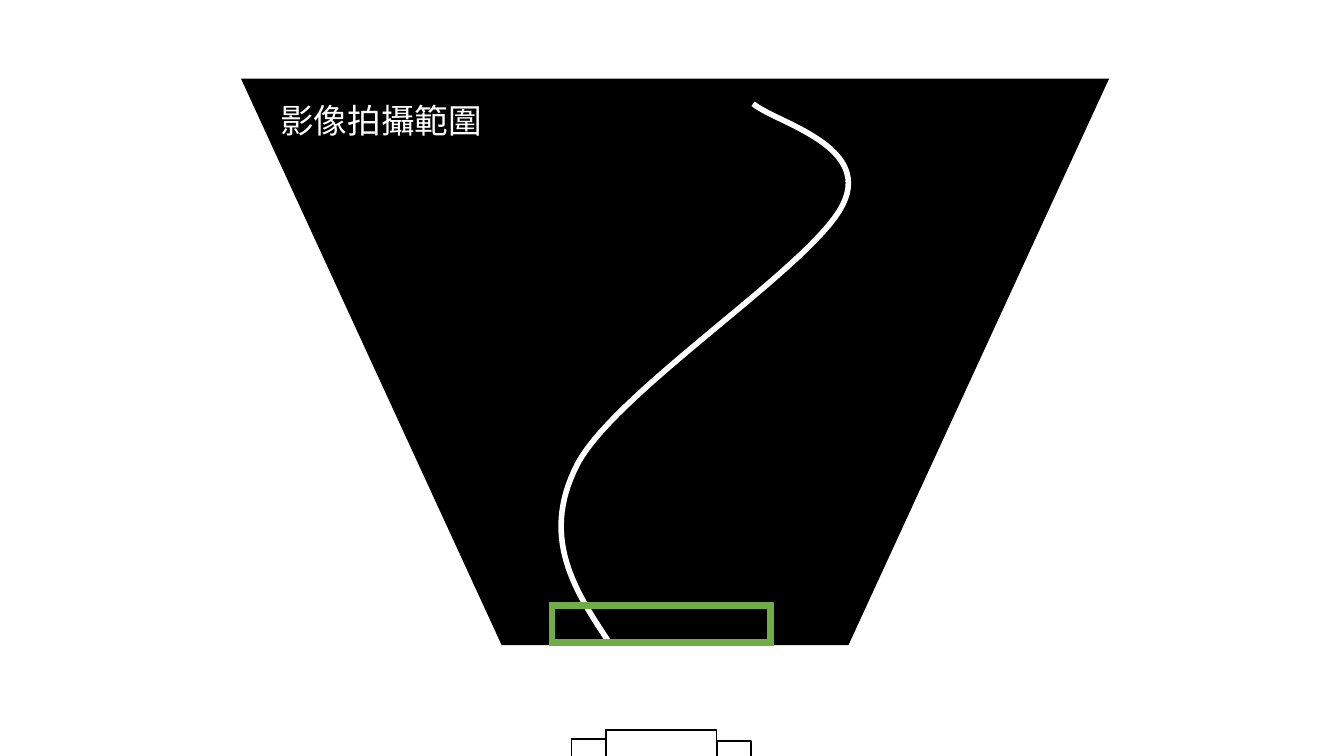
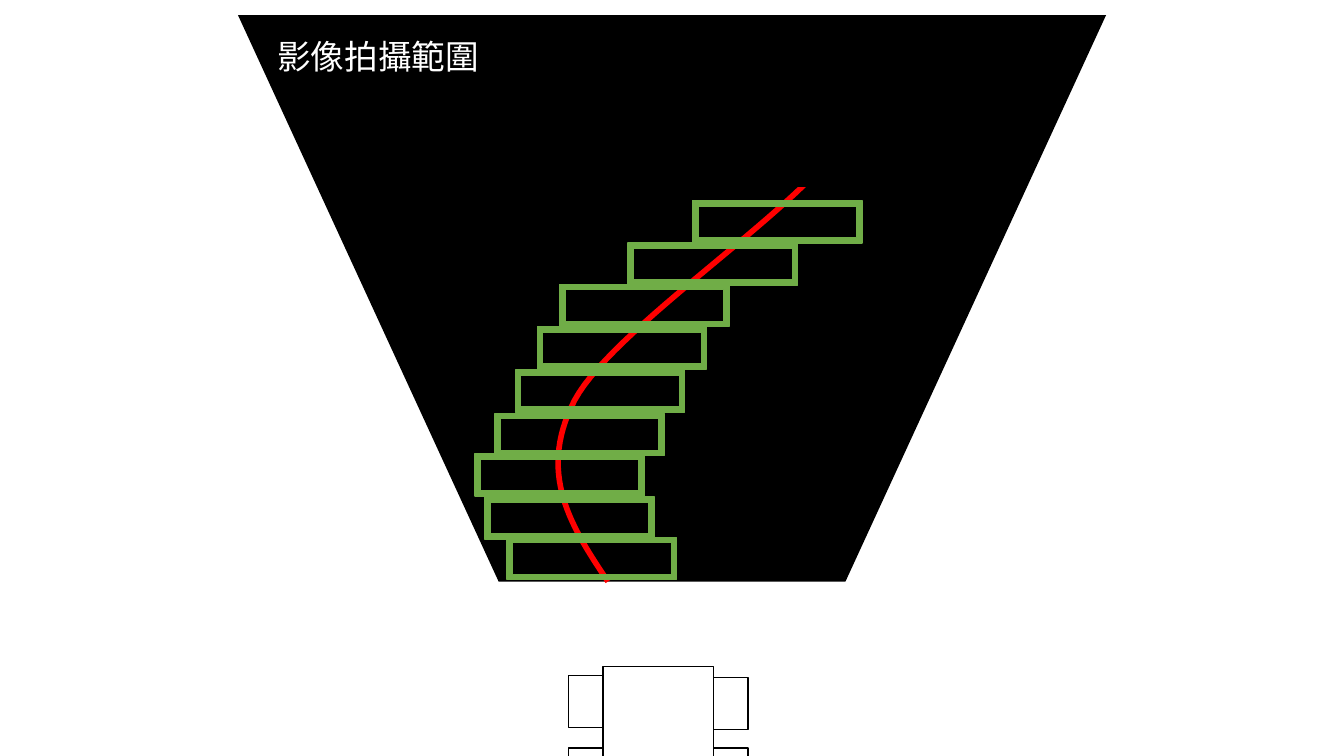
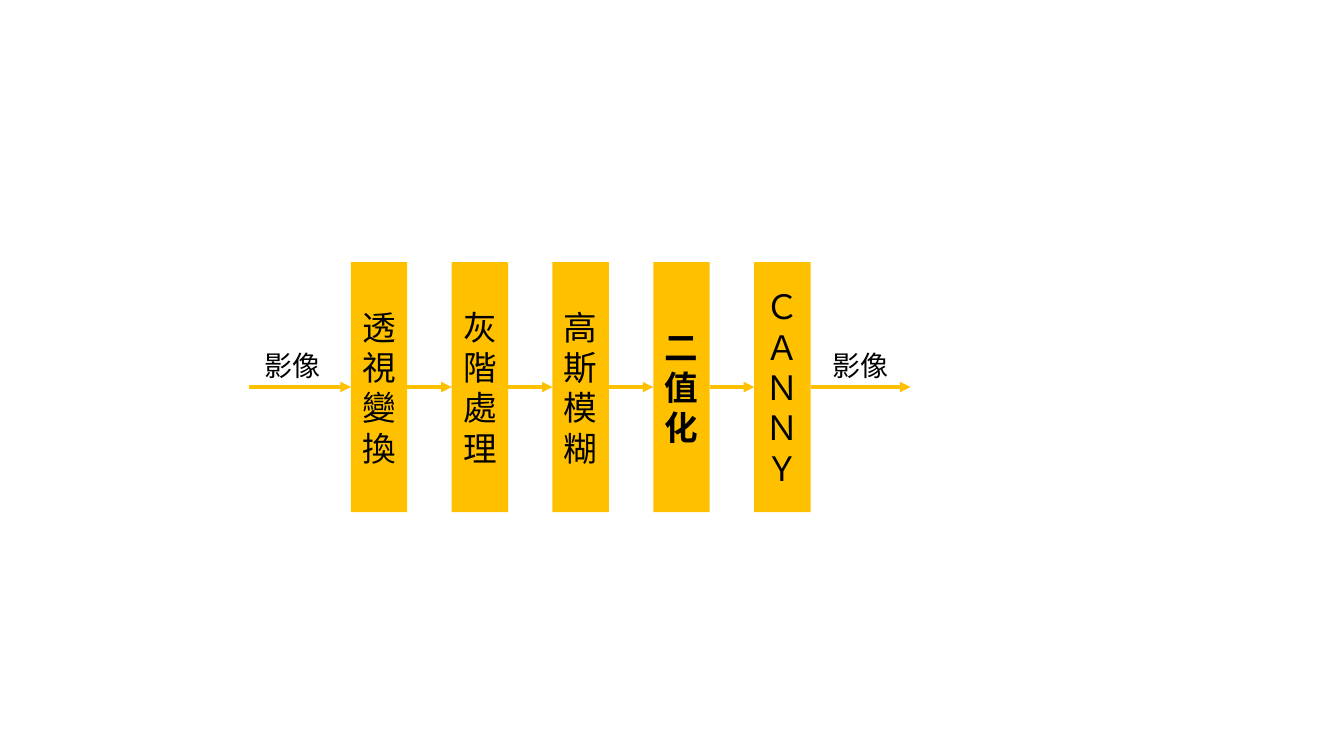
from typing import NamedTuple

from lxml.etree import SubElement
from pptx import Presentation
from pptx.dml.color import RGBColor
from pptx.enum.shapes import MSO_CONNECTOR, MSO_SHAPE
from pptx.enum.text import MSO_ANCHOR, PP_ALIGN
from pptx.oxml.ns import qn
from pptx.util import Pt

PX = 9144  # EMU in one px; 100 px to the inch
WIDE, HIGH = 1333, 750
BLACK, WHITE, RED = "000000", "FFFFFF", "FF0000"
GREEN, GOLD = "70AD47", "FFC000"
FONT, BOLD = "Noto Sans CJK JP", "Noto Sans CJK TC"


class Box(NamedTuple):
    left: int
    top: int
    width: int
    height: int

    def move(self, x: int, y: int) -> "Box":
        return Box(self.left + x, self.top + y, self.width, self.height)

    def emu(self) -> list[int]:
        return [n * PX for n in self]


class Step(NamedTuple):
    text: str
    font: str = FONT
    bold: bool = False


class View(NamedTuple):
    """A camera view: its top left corner, track colour, wheels and frames."""
    x: int
    y: int
    track: str
    wheels: list[Box]
    frames: list[Box]


# Places inside a view, from its top left corner
FIELD = Box(0, 0, 861, 562)
NAME = Box(39, 21, 202, 40)
BODY = Box(362, 646, 110, 145)
FRONT = [Box(472, 657, 34, 52), Box(328, 655, 34, 52)]
REAR = [Box(x, 727, 34, 52) for x in (472, 328)]
START = (367, 562)
CURVES = [
    ((331, 508), (296, 455), (334, 382)),
    ((373, 309), (568, 185), (597, 125)),
    ((626, 66), (531, 44), (508, 25)),
]

SPOTS = [(503, 533), (481, 493), (471, 450), (491, 410), (511, 367),
         (533, 324), (555, 282), (623, 241), (687, 199)]
VIEWS = [
    View(239, 78, WHITE, FRONT, [Box(545, 598, 222, 42)]),
    View(236, 15, RED, FRONT + REAR, [Box(x, y, 168, 42) for x, y in SPOTS]),
]
COVER = Box(743, 32, 270, 153)

STEPS = [Step("透視變換"), Step("灰階處理"), Step("高斯模糊"),
         Step("二值化", BOLD, True), Step("ＣＡＮＮＹ")]
FIRST = Box(348, 260, 56, 248)
PITCH = 100


def color(code: str) -> RGBColor:
    return RGBColor.from_string(code)


def shape(slide, kind, box: Box, fill: str, line: str | None = None):
    item = slide.shapes.add_shape(kind, *box.emu())
    item.shadow.inherit = False
    item.fill.solid()
    item.fill.fore_color.rgb = color(fill)
    if line:
        item.line.color.rgb = color(line)
        item.line.width = Pt(1)
    else:
        item.line.fill.background()
    return item


def write(para, text: str, size: int, code: str, font: str = FONT,
          bold: bool = False) -> None:
    run = para.add_run()
    run.text = text
    run.font.size = Pt(size)
    run.font.bold = bold
    run.font.name = font
    run.font.color.rgb = color(code)
    SubElement(run.font._element, qn("a:ea"), typeface=font)


def label(slide, box: Box, text: str, size: int, code: str,
          tight: bool = False) -> None:
    """Add a text box; a tight one has no insets and does not wrap."""
    frame = slide.shapes.add_textbox(*box.emu()).text_frame
    frame.word_wrap = not tight
    if tight:
        frame.margin_left = frame.margin_right = 0
        frame.margin_top = frame.margin_bottom = 0
    write(frame.paragraphs[0], text, size, code)


def arrow(slide, left: int, right: int, y: int) -> None:
    item = slide.shapes.add_connector(
        MSO_CONNECTOR.STRAIGHT, left * PX, y * PX, right * PX, y * PX)
    item.line.color.rgb = color(GOLD)
    item.line.width = Pt(2.5)
    SubElement(item.line._get_or_add_ln(), qn("a:tailEnd"), type="triangle")
    SubElement(item._element.spPr, qn("a:effectLst"))


def trace(count: int = 30) -> list[tuple[float, float]]:
    """Points along the cubic curves of the track."""
    points, a = [], START
    for b, c, d in CURVES:
        for i in range(1, count + 1):
            t = i / count
            u = 1 - t
            points.append(tuple(
                u**3 * p + 3 * u * u * t * q + 3 * u * t * t * r + t**3 * s
                for p, q, r, s in zip(a, b, c, d)))
        a = d
    return points


def track(slide, view: View) -> None:
    def place(x: float, y: float) -> tuple[int, int]:
        return round((view.x + x) * PX), round((view.y + y) * PX)

    pen = slide.shapes.build_freeform(*place(*START))
    pen.add_line_segments([place(*p) for p in trace()], close=False)
    item = pen.convert_to_shape()
    item.shadow.inherit = False
    item.fill.background()
    item.line.color.rgb = color(view.track)
    item.line.width = Pt(4)


def scene(slide, view: View) -> None:
    at = view.x, view.y
    field = shape(slide, MSO_SHAPE.TRAPEZOID, FIELD.move(*at), BLACK)
    field.adjustments[0] = 0.46
    field.rotation = 180
    track(slide, view)
    for part in [BODY, *view.wheels]:
        shape(slide, MSO_SHAPE.RECTANGLE, part.move(*at), WHITE, BLACK)
    label(slide, NAME.move(*at), "影像拍攝範圍", 24, WHITE, tight=True)
    for box in view.frames:
        shape(slide, MSO_SHAPE.FRAME, box, GREEN, GREEN)


def flow(slide) -> None:
    mid = FIRST.top + FIRST.height // 2
    for i, step in enumerate(STEPS):
        box = FIRST.move(i * PITCH, 0)
        frame = shape(slide, MSO_SHAPE.RECTANGLE, box, GOLD).text_frame
        frame.word_wrap = True
        frame.vertical_anchor = MSO_ANCHOR.MIDDLE
        para = frame.paragraphs[0]
        para.alignment = PP_ALIGN.CENTER
        write(para, step.text, 24, BLACK, step.font, step.bold)
        if i:
            arrow(slide, box.left - PITCH + box.width, box.left, mid)
    end = box.left + box.width
    arrow(slide, FIRST.left - 101, FIRST.left, mid)
    arrow(slide, end, end + 99, mid)
    for left in (253, 816):
        label(slide, Box(left, 341, 87, 44), "影像", 20, BLACK)


def main() -> None:
    deck = Presentation()
    deck.slide_width, deck.slide_height = WIDE * PX, HIGH * PX
    blank = deck.slide_layouts[6]
    for view in VIEWS:
        slide = deck.slides.add_slide(blank)
        scene(slide, view)
    shape(slide, MSO_SHAPE.RECTANGLE, COVER, BLACK, BLACK)
    flow(deck.slides.add_slide(blank))
    deck.save("out.pptx")


if __name__ == "__main__":
    main()
